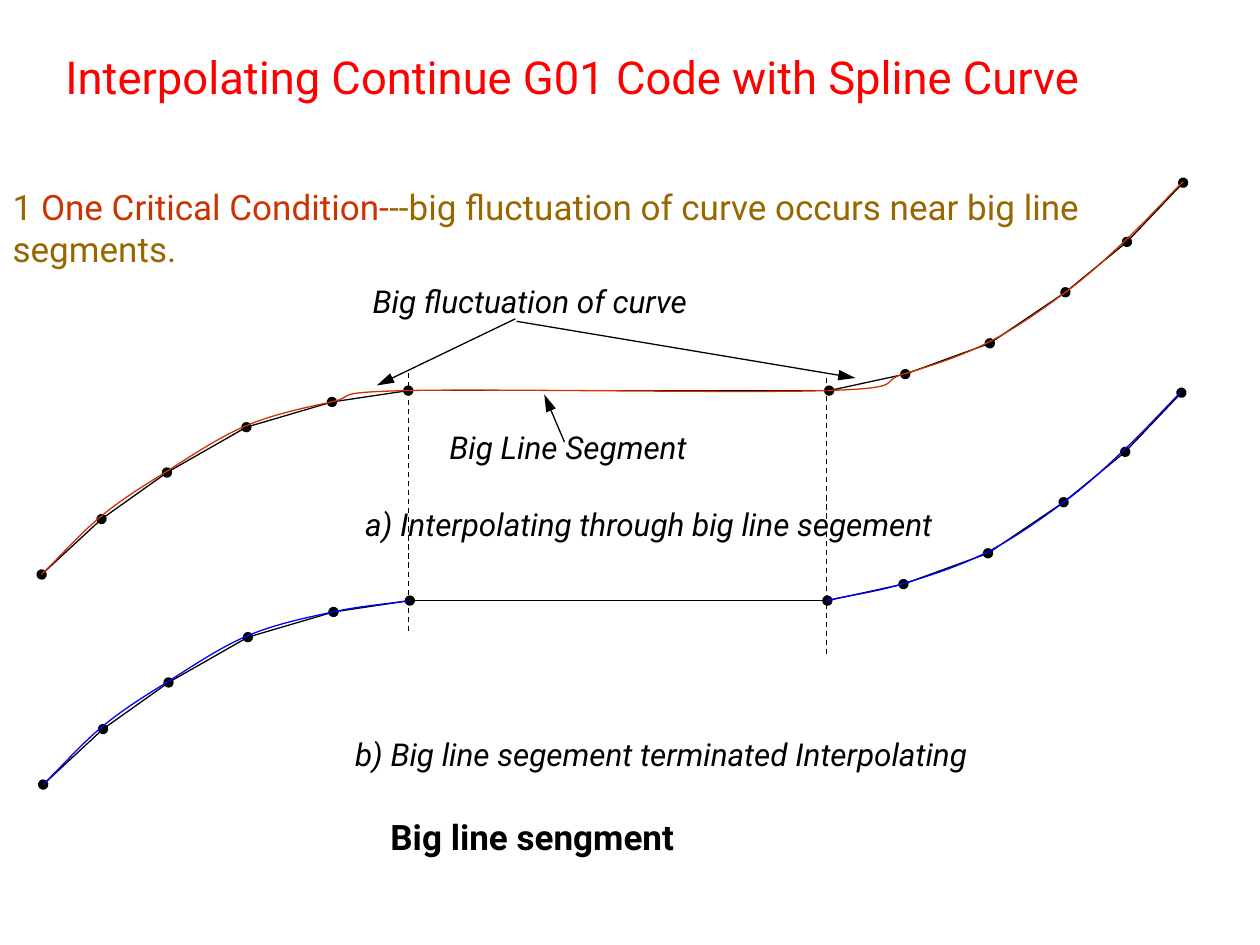
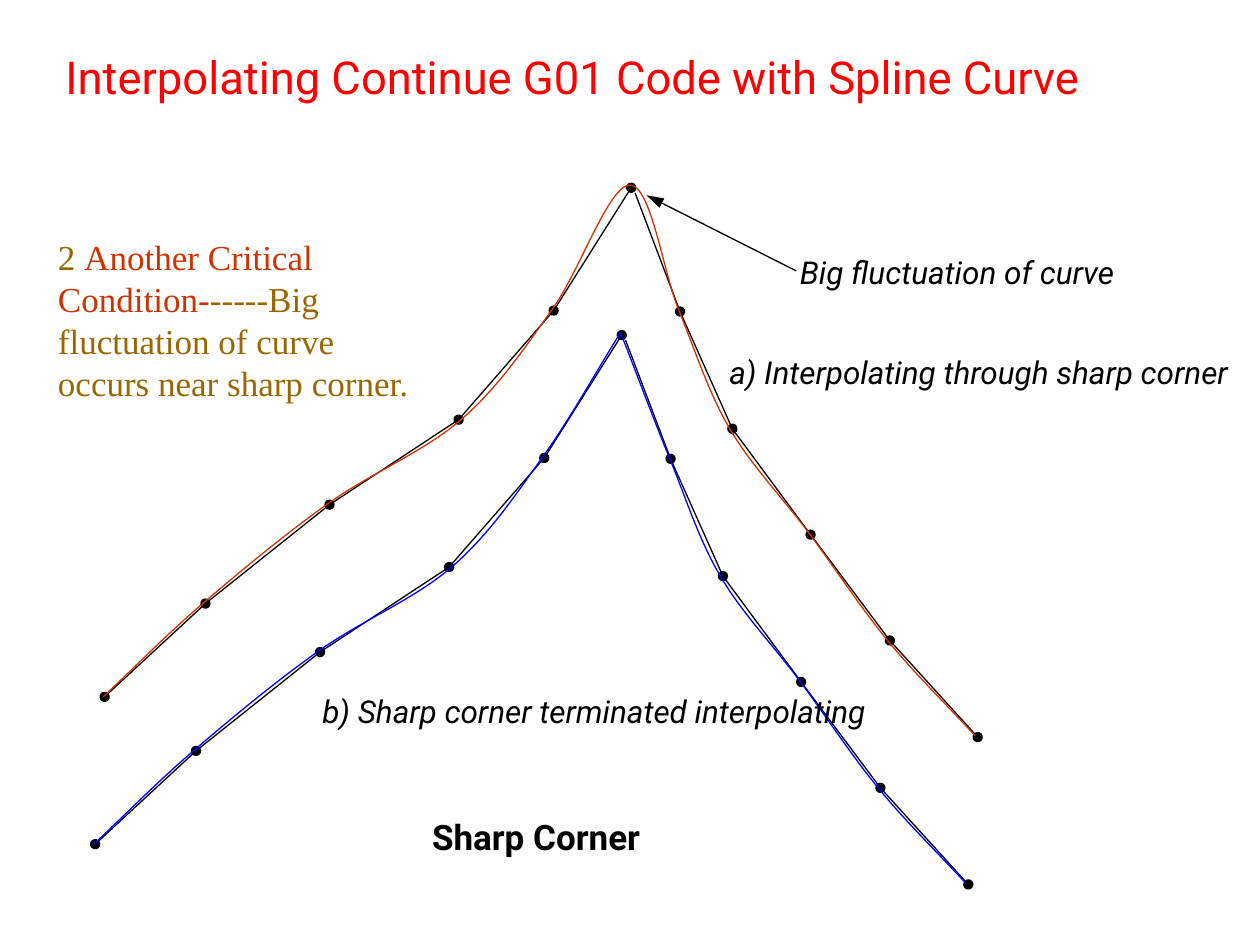
from itertools import pairwise

from lxml import etree
from pptx import Presentation
from pptx.dml.color import RGBColor
from pptx.enum import dml, shapes, text
from pptx.oxml import ns
from pptx.util import Pt

BLACK = RGBColor(0, 0, 0)
RED = RGBColor(0xFF, 0, 0)
RUST = RGBColor(0xCC, 0x33, 0)
OCHRE = RGBColor(0x99, 0x66, 0)
BLUE = RGBColor(0, 0, 0xFF)
SANS, SERIF = "Roboto", "Times New Roman"
TITLE = "Interpolating Continue G01 Code with Spline Curve"
LABEL = dict(size=Pt(18), name=SANS, italic=True)
FOOT = dict(size=Pt(20), name=SANS, bold=True)


def sub(parent, tag, **attrs):
    return etree.SubElement(parent, ns.qn(tag), attrs)


def shift(points, dx, dy):
    return [(x + dx, y + dy) for x, y in points]


class Deck:
    def __init__(self):
        self.prs = Presentation()
        self.prs.slide_width, self.prs.slide_height = Pt(720), Pt(540)
        self.slide = None

    def page(self):
        """Start a slide with the shared title."""
        self.slide = self.prs.slides.add_slide(self.prs.slide_layouts[1])
        title = self.slide.shapes.title
        self.place(title, (30.2, 11.5, 659.6, 52), text.MSO_ANCHOR.BOTTOM)
        para = title.text_frame.paragraphs[0]
        para.alignment, para.line_spacing = text.PP_ALIGN.LEFT, 0.9
        self.run(para, TITLE, RED, size=Pt(25.9), name=SANS)

    def place(self, shape, box, anchor=text.MSO_ANCHOR.MIDDLE):
        for key, value in zip(("left", "top", "width", "height"), box):
            setattr(shape, key, Pt(value))
        frame = shape.text_frame
        look = dict(word_wrap=True, vertical_anchor=anchor,
                    auto_size=text.MSO_AUTO_SIZE.NONE)
        for key, value in look.items():
            setattr(frame, key, value)

    def run(self, para, words, color, **look):
        run = para.add_run()
        run.text = words
        run.font.color.rgb = color
        for key, value in look.items():
            setattr(run.font, key, value)

    def body(self, box, parts, font):
        """Fill the body with one plain paragraph of coloured runs."""
        shape = self.slide.placeholders[1]
        self.place(shape, box)
        para = shape.text_frame.paragraphs[0]
        props = para._p.get_or_add_pPr()
        props.set("marL", "0")
        props.set("indent", "0")
        sub(props, "a:buNone")
        para.space_before = Pt(0)
        for words, color in parts:
            self.run(para, words, color, size=Pt(20), name=font)

    def label(self, words, left, top, width, look=LABEL, height=28.8):
        shape = self.slide.shapes.add_textbox(0, 0, 0, 0)
        self.place(shape, (left, top, width, height))
        self.run(shape.text_frame.paragraphs[0], words, BLACK, **look)

    def line(self, start, end, head=None, tail=None, dash=False):
        link = self.slide.shapes.add_connector(
            shapes.MSO_CONNECTOR.STRAIGHT, *map(Pt, start + end))
        link.line.color.rgb, link.line.width = BLACK, Pt(0.75)
        if dash:
            link.line.dash_style = dml.MSO_LINE.DASH
        ln = link.line._get_or_add_ln()
        for tag, kind in (("a:headEnd", head), ("a:tailEnd", tail)):
            if kind:
                size = "lg" if kind == "triangle" else "med"
                sub(ln, tag, type=kind, w="med", len=size)
        sub(link._element.spPr, "a:effectLst")

    def arrow(self, start, end):
        self.line(start, end, tail="triangle")

    def chain(self, points, dot=True):
        """Join points by lines, with a dot at each point."""
        for i, (start, end) in enumerate(pairwise(points)):
            self.line(start, end, "oval" if dot and i == 0 else None, "oval")

    def curve(self, points, color):
        """Draw a Catmull-Rom spline through the points."""
        knots = [(Pt(x), Pt(y)) for x, y in points]
        pen = self.slide.shapes.build_freeform(*knots[0])
        pen.add_line_segments(knots[1:], close=False)
        shape = pen.convert_to_shape()
        shape.shadow.inherit = False
        shape.fill.background()
        shape.line.color.rgb, shape.line.width = color, Pt(0.75)
        track = next(shape._element.iter(ns.qn("a:path")))
        spots = [(int(p.get("x")), int(p.get("y")))
                 for p in track.iter(ns.qn("a:pt"))]
        for old in track.findall(ns.qn("a:lnTo")):
            track.remove(old)
        ends = [spots[0], *spots, spots[-1]]
        for i in range(1, len(spots)):
            before, start, end, after = ends[i - 1:i + 3]
            # The end tangents span one gap, the others two
            first = 3 if i == 1 else 6
            last = 3 if i == len(spots) - 1 else 6
            lead = [s + (e - b) / first for b, s, e in zip(before, start, end)]
            trail = [e - (a - s) / last for s, e, a in zip(start, end, after)]
            bend = sub(track, "a:cubicBezTo")
            for x, y in (lead, trail, end):
                sub(bend, "a:pt", x=str(round(x)), y=str(round(y)))


def big_line(deck):
    deck.page()
    deck.body((0, 102.2, 720, 55.4),
              [("1 ", OCHRE), ("One Critical Condition-", RUST),
               ("--big fluctuation of curve occurs near big line segments.",
                OCHRE)], SANS)
    # Tool path above, and the same path lower down
    path = [(23.8, 328.3), (58, 296.6), (95.4, 270), (140.8, 244.1),
            (189.7, 229.7), (233.3, 223.2), (473.8, 223.2), (517.3, 213.8),
            (565.6, 196.2), (608.8, 167), (644, 138.2), (676.1, 104.4)]
    knots = [(23.8, 328.3), (57.6, 295.2), (94.3, 270), (140.4, 243.4),
             (189.4, 229.7), (233.3, 223.2), (473, 223.2), (516.2, 213.8),
             (564.5, 195.8), (609.8, 166.3), (643.7, 136.8), (676.1, 103.7)]
    left, right = (0.9, 120), (-1, 120)
    deck.chain(path)
    deck.chain(shift(path[:6], *left) + shift(path[6:], *right))
    deck.curve(knots, RUST)
    deck.curve(shift(knots[:6], *left), BLUE)
    deck.curve(shift(knots[6:], *right), BLUE)
    # Marks of the long segment
    deck.line((233.3, 213.1), (233.3, 362.2), dash=True)
    deck.line((472.3, 216), (472.3, 373.7), dash=True)
    deck.arrow((294.5, 182.2), (215.3, 220.3))
    deck.arrow((295.2, 183.6), (488.9, 216))
    deck.arrow((322.6, 252.7), (311, 225.4))
    # Labels
    deck.label("Big fluctuation of curve", 205.9, 157.7, 312.5)
    deck.label("Big Line Segment", 249.8, 241.2, 312.5)
    deck.label("a) Interpolating through big line segement", 201.6, 285.1, 360.7)
    deck.label("b) Big line segement terminated Interpolating",
               195.8, 416.2, 383)
    deck.label("Big line sengment", 216, 462.2, 356.4, FOOT, 31.7)


def sharp_turn(deck):
    deck.page()
    deck.body((25.9, 131, 223.2, 103.7),
              [("2 ", OCHRE), ("Another Critical Condition-", RUST),
               ("-----Big fluctuation of curve occurs near sharp corner.",
                OCHRE)], SERIF)
    # Both sides of the corner, from the peak down
    left = [(360.7, 107.3), (316.4, 177.5), (262.1, 239.8), (188.3, 288.4),
            (117.4, 344.9), (59.8, 398.2)]
    right = [(362.9, 110.2), (388.6, 178), (418.5, 245), (463.2, 305.5),
             (508.5, 366), (558.7, 421.2)]
    knots = [(59, 398.2), (115.9, 344.9), (187.2, 288), (263.5, 239.8),
             (315.4, 177.1), (360, 105.8), (388.1, 177.8), (416.9, 244.8),
             (462.2, 304.6), (507.6, 366.5), (557.3, 420.5)]
    low = (-5.4, 84.2)
    for move in ((0, 0), low):
        deck.chain(shift(left, *move))
        deck.chain(shift(right, *move), dot=False)
    deck.curve(knots, RUST)
    for half in (knots[:6], knots[5:]):
        deck.curve(shift(half, *low), BLUE)
    # Labels
    deck.arrow((455, 154.8), (369.4, 111.6))
    deck.label("Big fluctuation of curve", 450, 141.1, 200.9)
    deck.label("a) Interpolating through sharp corner", 409.7, 198, 310)
    deck.label("b) Sharp corner terminated interpolating", 177.1, 391.7, 401.8)
    deck.label("Sharp Corner", 239.8, 462.2, 362.2, FOOT, 31.7)


def main():
    deck = Deck()
    big_line(deck)
    sharp_turn(deck)
    deck.prs.save("out.pptx")


if __name__ == "__main__":
    main()
